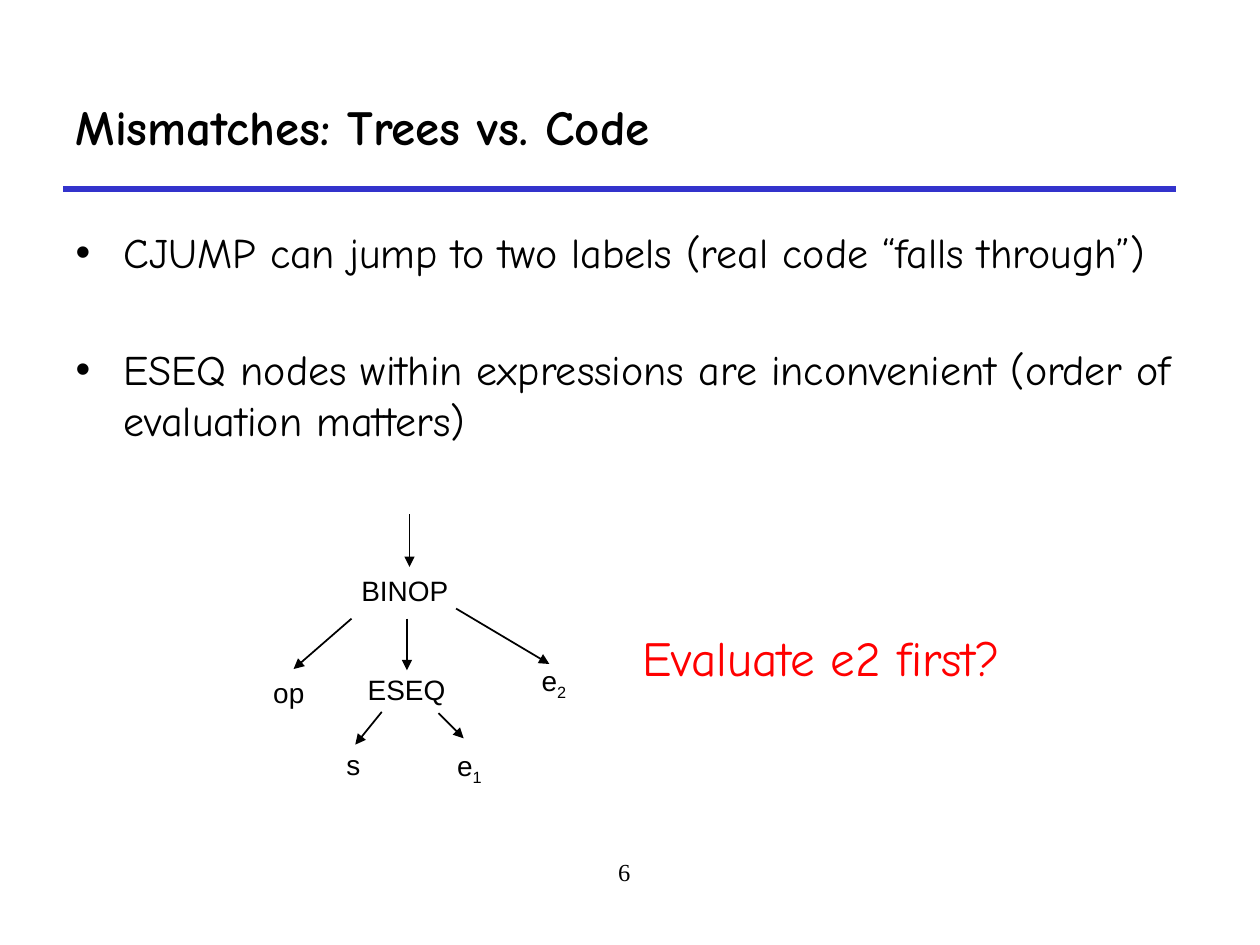
from dataclasses import dataclass

from lxml import etree
from pptx import Presentation
from pptx.dml.color import RGBColor
from pptx.enum.shapes import MSO_CONNECTOR
from pptx.enum.text import MSO_ANCHOR, MSO_AUTO_SIZE, PP_ALIGN
from pptx.oxml.ns import qn
from pptx.util import Inches, Pt

BLACK = RGBColor(0x00, 0x00, 0x00)
RED = RGBColor(0xFF, 0x00, 0x00)
BLUE = RGBColor(0x33, 0x33, 0xCC)
STRAIGHT = MSO_CONNECTOR.STRAIGHT
MIDDLE = MSO_ANCHOR.MIDDLE
TOP = MSO_ANCHOR.TOP
NO_AUTOFIT = MSO_AUTO_SIZE.NONE
LEFT = PP_ALIGN.LEFT
CENTER = PP_ALIGN.CENTER
HEADING_FONT = "Comic Neue"
NODE_FONT = "Arial"
NUMBER_FONT = "Times New Roman"
NODE_HEIGHT = 0.34


@dataclass
class Node:
    text: str
    left: float
    top: float
    width: float
    subscript: str = ""


@dataclass
class Line:
    start: tuple[float, float]
    end: tuple[float, float]


TITLE = "Mismatches: Trees vs. Code"
BULLETS = [
    "CJUMP can jump to two labels (real code “falls through”)",
    "ESEQ nodes within expressions are inconvenient (order of evaluation matters)",
]
NODES = [
    Node("BINOP", 2.77, 4.53, 0.9),
    Node("op", 2.07, 5.34, 0.45),
    Node("ESEQ", 2.82, 5.32, 0.82),
    Node("e", 4.2, 5.24, 0.41, "2"),
    Node("s", 2.65, 5.91, 0.31),
    Node("e", 3.53, 5.91, 0.41, "1"),
]
ARROWS = [
    Line((3.25, 4.08), (3.25, 4.5)),
    Line((2.79, 4.91), (2.33, 5.31)),
    Line((3.23, 4.91), (3.23, 5.32)),
    Line((3.62, 4.83), (4.36, 5.27)),
    Line((3.03, 5.65), (2.82, 5.91)),
    Line((3.48, 5.66), (3.68, 5.86)),
]


def place(shape, left: float, top: float, width: float, height: float) -> None:
    shape.left, shape.top = Inches(left), Inches(top)
    shape.width, shape.height = Inches(width), Inches(height)


def style(paragraph, name: str, size: int, color: RGBColor = BLACK, bold: bool = False) -> None:
    font = paragraph.font
    font.name, font.size, font.bold = name, Pt(size), bold
    font.color.rgb = color


def add_line(slide, line: Line, color: RGBColor, width: float, arrow: bool = False) -> None:
    points = [Inches(value) for value in (*line.start, *line.end)]
    connector = slide.shapes.add_connector(STRAIGHT, *points)
    connector.line.color.rgb = color
    connector.line.width = Pt(width)
    if arrow:
        outline = connector.line._get_or_add_ln()
        etree.SubElement(outline, qn("a:tailEnd"), type="triangle")
    etree.SubElement(connector._element.spPr, qn("a:effectLst"))


def add_text(slide, text: str, left: float, top: float, width: float, height: float,
             wrap: bool = True, anchor=MIDDLE):
    box = slide.shapes.add_textbox(Inches(left), Inches(top), Inches(width), Inches(height))
    frame = box.text_frame
    frame.word_wrap = wrap
    frame.vertical_anchor = anchor
    paragraph = frame.paragraphs[0]
    paragraph.add_run().text = text
    return paragraph


def add_node(slide, node: Node) -> None:
    paragraph = add_text(slide, node.text, node.left, node.top, node.width, NODE_HEIGHT, wrap=False)
    paragraph.line_spacing = 0.9
    style(paragraph, NODE_FONT, 16)
    if node.subscript:
        run = paragraph.add_run()
        run.text = node.subscript
        run._r.get_or_add_rPr().set("baseline", "-25000")


def fill_title(slide) -> None:
    title = slide.shapes.title
    place(title, 0.5, 0.5, 8.83, 1)
    frame = title.text_frame
    frame.text = TITLE
    frame.auto_size = NO_AUTOFIT
    frame.vertical_anchor = MIDDLE
    paragraph = frame.paragraphs[0]
    paragraph.alignment = LEFT
    style(paragraph, HEADING_FONT, 28, bold=True)


def fill_body(slide) -> None:
    body = slide.placeholders[1]
    place(body, 0.5, 1.75, 9.08, 4.83)
    frame = body.text_frame
    frame.text = "\n".join(BULLETS)
    frame.auto_size = NO_AUTOFIT
    for index, paragraph in enumerate(frame.paragraphs):
        paragraph.space_before = Pt(38 if index else 0)
        properties = paragraph._p.get_or_add_pPr()
        properties.set("marL", str(Inches(0.38)))
        properties.set("indent", str(-Inches(0.38)))
        etree.SubElement(properties, qn("a:buChar"), char="•")
        style(paragraph, HEADING_FONT, 24)


def main() -> None:
    presentation = Presentation()
    presentation.slide_width, presentation.slide_height = Inches(10), Inches(7.5)
    slide = presentation.slides.add_slide(presentation.slide_layouts[1])
    add_line(slide, Line((0.5, 1.5), (9.33, 1.5)), BLUE, 3)
    fill_title(slide)
    fill_body(slide)
    for node in NODES:
        add_node(slide, node)
    for arrow in ARROWS:
        add_line(slide, arrow, BLACK, 1, arrow=True)
    question = add_text(slide, "Evaluate e2 first?", 5, 4.98, 3.5, 0.52)
    question.line_spacing = 0.9
    style(question, HEADING_FONT, 28, RED)
    number = add_text(slide, "6", 3.08, 6.75, 3.75, 0.5, anchor=TOP)
    number.alignment = CENTER
    style(number, NUMBER_FONT, 14)
    presentation.save("out.pptx")


if __name__ == "__main__":
    main()
